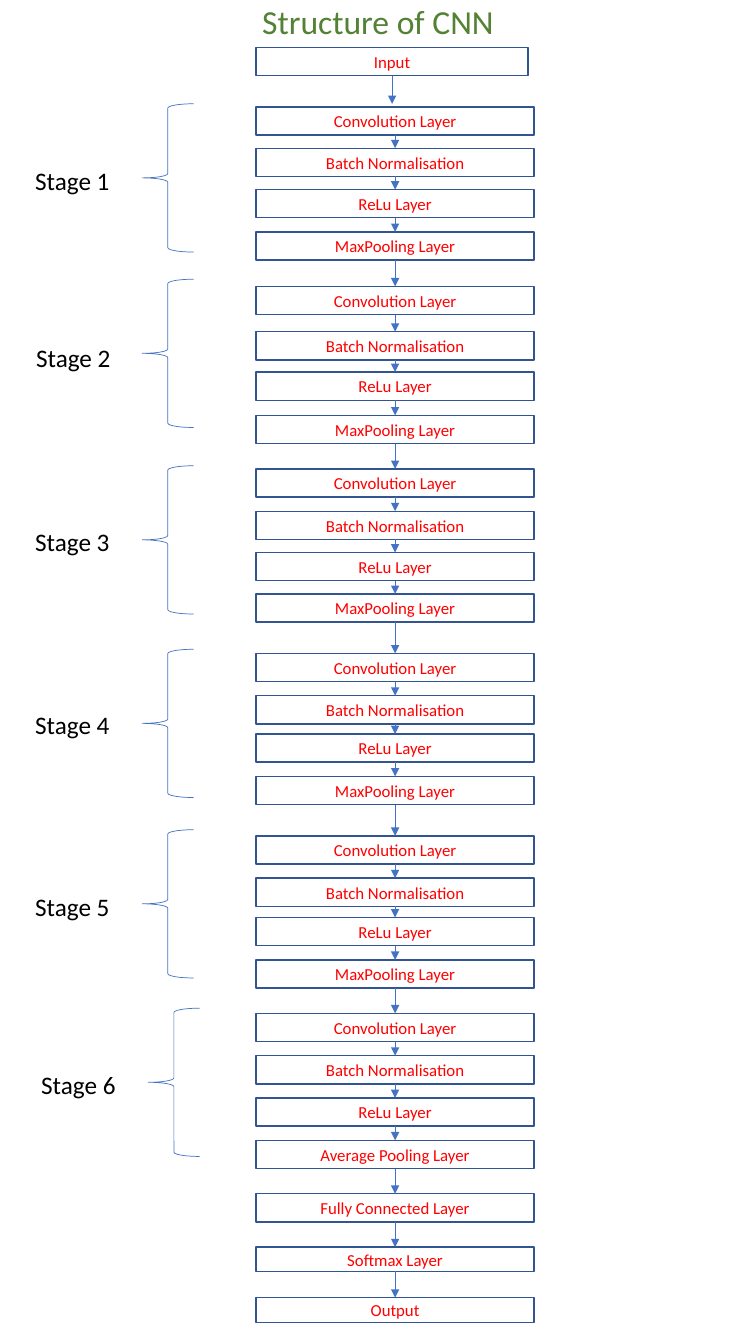
from dataclasses import dataclass
from itertools import pairwise

from lxml.etree import SubElement
from pptx import Presentation
from pptx.dml.color import RGBColor
from pptx.enum.shapes import MSO_CONNECTOR, MSO_SHAPE
from pptx.enum.text import MSO_ANCHOR, MSO_AUTO_SIZE, PP_ALIGN
from pptx.oxml.ns import qn
from pptx.shapes.autoshape import Shape
from pptx.slide import Slide
from pptx.text.text import TextFrame
from pptx.util import Inches, Pt

# The slide is a grid of 75 columns and 133.3 rows; positions are in cells.
COLUMNS, ROWS = 75, 133.3
CELL = Inches(7.5) / COLUMNS

FONT = "Calibri"
GREEN, RED, BLACK, WHITE = "548235", "FF0000", "000000", "FFFFFF"
BOX_LINE, FLOW_LINE = "325491", "4472C4"
TOP_SITE, BOTTOM_SITE = 0, 2

BOX_LEFT, BOX_WIDTH, BOX_HEIGHT = 25.4, 27.6, 2.8
BRACE_LEFT, BRACE_WIDTH, BRACE_HEIGHT = 14.1, 5.1, 14.7
LABEL_LEFT, LABEL_WIDTH, LABEL_HEIGHT = 2.5, 11, 4
LANDING_GAP = 0.3


@dataclass
class Layer:
    """One box of the network."""
    name: str
    top: float
    height: float = BOX_HEIGHT
    width: float = BOX_WIDTH


@dataclass
class Stage:
    """Four layers held together by a brace and a label."""
    layer_tops: tuple[float, ...]
    brace_top: float
    label_top: float
    pooling: str = "MaxPooling"
    brace_shift: float = 0
    label_shift: float = 0

    def layers(self) -> list[Layer]:
        """Return the stage's layers in flow order."""
        names = ("Convolution Layer", "Batch Normalisation", "ReLu Layer",
                 f"{self.pooling} Layer")
        return [Layer(name, top) for name, top in zip(names, self.layer_tops)]


STAGES = [
    Stage((10.6, 14.7, 18.8, 23), 10.3, 15.9),
    Stage((28.4, 32.9, 36.9, 41.2), 27.7, 33.5, label_shift=0.1),
    Stage((46.5, 50.7, 54.8, 58.9), 46.2, 51.7),
    Stage((64.8, 69, 72.8, 77), 64.4, 69.9),
    Stage((82.9, 87.1, 91, 95.2), 82.3, 87.9),
    Stage((100.5, 104.7, 108.9, 113.1), 100, 105.6, "Average Pooling", 0.6, 0.6),
]
INPUT = Layer("Input", 4.7, width=27)
CLOSING = [
    Layer("Fully Connected Layer", 118.4),
    Layer("Softmax Layer", 123.7, 2.4),
    Layer("Output", 128.7, 2.5),
]


def cells(*values: float) -> list[int]:
    """Convert grid cells to slide units."""
    return [round(value * CELL) for value in values]


def rgb(colour: str) -> RGBColor:
    """Convert a hex string to a colour."""
    return RGBColor.from_string(colour)


def write(tf: TextFrame, text: str, size: float, colour: str,
          align: PP_ALIGN = PP_ALIGN.LEFT) -> None:
    """Put one formatted paragraph into a text frame."""
    tf.text = text
    tf.word_wrap = True
    p = tf.paragraphs[0]
    p.alignment = align
    font = p.runs[0].font
    font.name, font.size, font.color.rgb = FONT, Pt(size), rgb(colour)


def add_title(s: Slide, text: str) -> None:
    """Fill the title placeholder and place it over the boxes."""
    title = s.shapes.title
    title.left, title.top, title.width, title.height = cells(5.6, 0, 63.8, 4.6)
    tf = title.text_frame
    write(tf, text, 24, GREEN, PP_ALIGN.CENTER)
    tf.auto_size = MSO_AUTO_SIZE.NONE
    tf.vertical_anchor = MSO_ANCHOR.BOTTOM
    tf.paragraphs[0].line_spacing = 0.9


def add_layer(s: Slide, layer: Layer) -> Shape:
    """Draw one layer as an outlined box."""
    box = s.shapes.add_shape(
        MSO_SHAPE.RECTANGLE,
        *cells(BOX_LEFT, layer.top, layer.width, layer.height))
    box.shadow.inherit = False
    box.fill.solid()
    box.fill.fore_color.rgb = rgb(WHITE)
    box.line.color.rgb, box.line.width = rgb(BOX_LINE), Pt(1)
    box.text_frame.vertical_anchor = MSO_ANCHOR.MIDDLE
    write(box.text_frame, layer.name, 12, RED, PP_ALIGN.CENTER)
    return box


def add_arrow(s: Slide, upper: Shape, lower: Shape) -> None:
    """Lead a vertical arrow down from one box to the next."""
    x = upper.left + upper.width // 2
    gap, = cells(LANDING_GAP)
    arrow = s.shapes.add_connector(
        MSO_CONNECTOR.STRAIGHT, x, upper.top + upper.height, x, lower.top - gap)
    arrow.begin_connect(upper, BOTTOM_SITE)
    if upper.width == lower.width:
        arrow.end_connect(lower, TOP_SITE)
    arrow.line.color.rgb, arrow.line.width = rgb(FLOW_LINE), Pt(0.5)
    SubElement(arrow.line._get_or_add_ln(), qn("a:tailEnd"), type="triangle")
    SubElement(arrow._element.spPr, qn("a:effectLst"))


def add_stage_mark(s: Slide, number: int, stage: Stage) -> None:
    """Draw the brace and the label of a stage."""
    brace = s.shapes.add_shape(
        MSO_SHAPE.LEFT_BRACE,
        *cells(BRACE_LEFT + stage.brace_shift, stage.brace_top,
               BRACE_WIDTH, BRACE_HEIGHT))
    brace.shadow.inherit = False
    brace.fill.background()
    brace.line.color.rgb, brace.line.width = rgb(FLOW_LINE), Pt(0.5)
    label = s.shapes.add_textbox(
        *cells(LABEL_LEFT + stage.label_shift, stage.label_top,
               LABEL_WIDTH, LABEL_HEIGHT))
    write(label.text_frame, f"Stage {number}", 18, BLACK)


prs = Presentation()
prs.slide_width, prs.slide_height = cells(COLUMNS, ROWS)
s = prs.slides.add_slide(prs.slide_layouts.get_by_name("Title Only"))
add_title(s, "Structure of CNN")

for number, stage in enumerate(STAGES, start=1):
    add_stage_mark(s, number, stage)

staged = [layer for stage in STAGES for layer in stage.layers()]
boxes = [add_layer(s, layer) for layer in [INPUT, *staged, *CLOSING]]
for upper, lower in pairwise(boxes):
    add_arrow(s, upper, lower)

prs.save("out.pptx")
